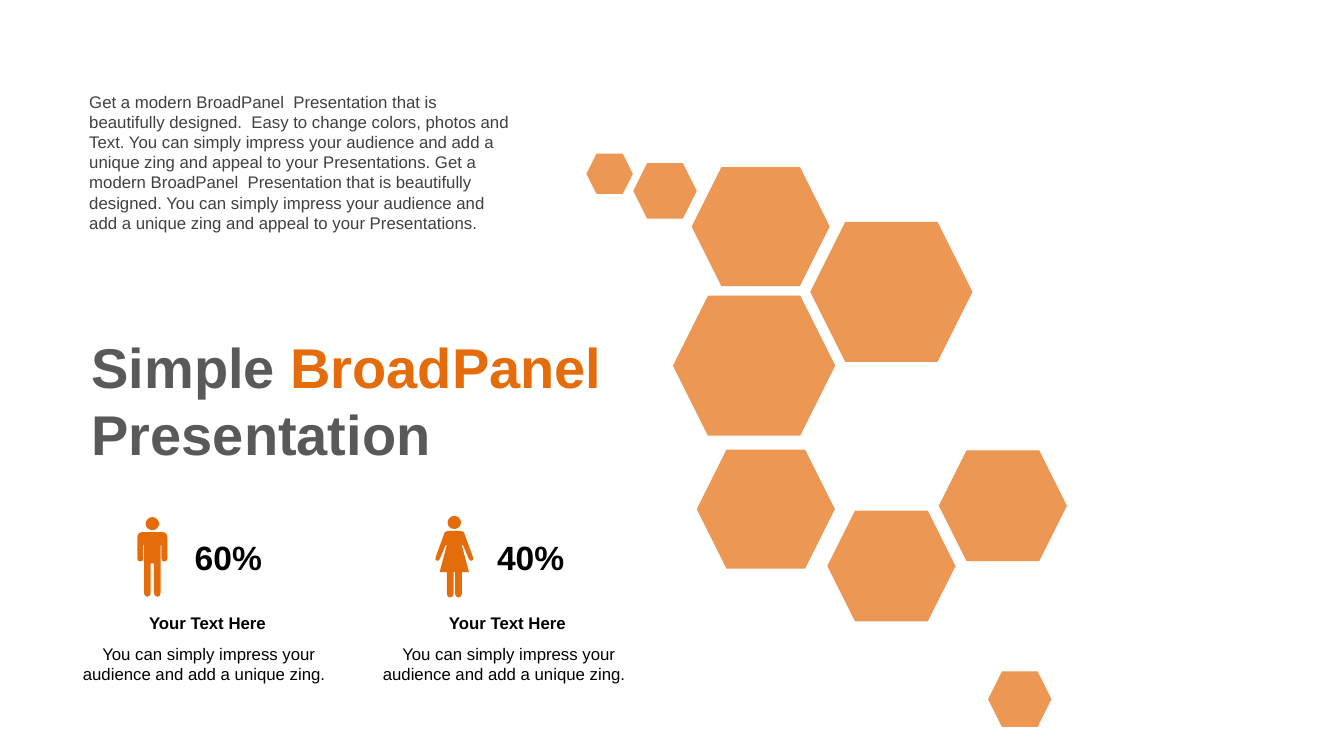
from lxml import etree
from pptx import Presentation
from pptx.dml.color import RGBColor
from pptx.enum.shapes import MSO_SHAPE
from pptx.enum.text import MSO_ANCHOR, PP_ALIGN
from pptx.oxml.ns import qn
from pptx.util import Cm, Pt

HEXAGON = MSO_SHAPE.HEXAGON
TOP, MIDDLE = MSO_ANCHOR.TOP, MSO_ANCHOR.MIDDLE
LEFT, CENTER = PP_ALIGN.LEFT, PP_ALIGN.CENTER

ORANGE, GREY, DARK, BLACK = "E46C0A", "595959", "404040", "000000"

HEXAGONS = [
    (17.56, 11.33, 3.48, 3.0),
    (20.42, 5.59, 4.09, 3.53),
    (16.96, 7.45, 4.09, 3.53),
    (23.66, 11.35, 3.23, 2.79),
    (20.85, 12.87, 3.23, 2.79),
    (24.9, 16.92, 1.6, 1.4),
    (17.43, 4.21, 3.48, 3.0),
    (15.96, 4.11, 1.6, 1.4),
    (14.78, 3.87, 1.17, 1.02),
]

MAN = [
    (0, 0.38), (0.25, 0.38), (0.33, 0.38, 0.38, 0.43, 0.38, 0.53),
    (0.38, 1.04), (0.38, 1.09, 0.35, 1.12, 0.3, 1.12),
    (0.25, 1.12, 0.23, 1.09, 0.23, 1.04), (0.23, 0.71), (0.21, 0.71),
    (0.21, 1.9), (0.21, 1.96, 0.18, 2.01, 0.13, 2.01),
    (0.07, 2.01, 0.04, 1.96, 0.04, 1.9), (0.04, 1.17),
]
WOMAN = [
    (0, 0.38), (0.16, 0.38), (0.22, 0.38, 0.22, 0.38, 0.24, 0.41),
    (0.47, 1.04), (0.49, 1.09, 0.48, 1.12, 0.44, 1.13),
    (0.41, 1.14, 0.38, 1.12, 0.37, 1.09), (0.22, 0.74), (0.19, 0.74),
    (0.37, 1.42), (0.19, 1.42), (0.19, 1.96),
    (0.18, 2.01, 0.16, 2.06, 0.11, 2.06),
    (0.06, 2.06, 0.02, 2.01, 0.02, 1.96), (0.02, 1.42),
]
HEAD = [
    (0, 0), (0.09, 0, 0.17, 0.08, 0.17, 0.17), (0.17, 0.26, 0.09, 0.33, 0, 0.33),
]

INTRO = (
    "Get a modern BroadPanel  Presentation that is beautifully designed.  "
    "Easy to change colors, photos and Text. You can simply impress your "
    "audience and add a unique zing and appeal to your Presentations. "
    "Get a modern BroadPanel  Presentation that is beautifully designed. "
    "You can simply impress your audience and add a unique zing and appeal "
    "to your Presentations."
)


def rgb(value):
    return RGBColor.from_string(value)


def mirror(half):
    """Close a right half outline with its reflection, keeping the curves."""
    x, y = half[-1][-2:]
    outline = half + [(-x, y)]
    for before, seg in zip(half[-2::-1], half[:0:-1]):
        x, y = before[-2:]
        if len(seg) == 6:
            x1, y1, x2, y2 = seg[:4]
            outline.append((-x2, y2, -x1, y1, -x, y))
        else:
            outline.append((-x, y))
    return outline


class Deck:
    """Hold the style and the current slide, and draw each kind of element."""

    font = "Arial"

    def __init__(self):
        self.prs = Presentation()
        self.prs.slide_width, self.prs.slide_height = Cm(33.87), Cm(19.05)
        self.s = self.prs.slides.add_slide(self.prs.slide_layouts[6])

    def paint(self, sp, color, alpha=100):
        sp.shadow.inherit = False
        sp.fill.solid()
        sp.fill.fore_color.rgb = rgb(color)
        sp.line.fill.background()
        if alpha < 100:
            clr = sp.fill._xPr.find(qn("a:solidFill"))[0]
            etree.SubElement(clr, qn("a:alpha")).set("val", str(alpha * 1000))

    def hexagon(self, *box):
        sp = self.s.shapes.add_shape(HEXAGON, *map(Cm, box))
        self.paint(sp, ORANGE, 70)

    def figure(self, half, center, top):
        def place(x, y):
            return Cm(center + x), Cm(top + y)

        body, head = mirror(half), mirror(HEAD)
        builder = self.s.shapes.build_freeform(*place(*body[0]))
        builder.add_line_segments([place(*seg[-2:]) for seg in body[1:]])
        builder.move_to(*place(*head[0]))
        builder.add_line_segments([place(*seg[-2:]) for seg in head[1:]])
        sp = builder.convert_to_shape()
        lines = list(sp._element.iter(qn("a:lnTo")))
        for line, seg in zip(lines, body[1:] + head[1:]):
            if len(seg) == 6:
                line.tag = qn("a:cubicBezTo")
                for i in (0, 2):
                    x, y = place(*seg[i:i + 2])
                    pt = etree.Element(qn("a:pt"), x=str(x - sp.left), y=str(y - sp.top))
                    line.insert(i // 2, pt)
        self.paint(sp, ORANGE)

    def text(self, box, runs, size, bold=False, align=LEFT, anchor=TOP):
        tf = self.s.shapes.add_textbox(*map(Cm, box)).text_frame
        tf.word_wrap = True
        tf.vertical_anchor = anchor
        p = tf.paragraphs[0]
        p.alignment = align
        for text, color in runs:
            r = p.add_run()
            r.text = text
            r.font.name, r.font.size, r.font.bold = self.font, Pt(size), bold
            r.font.color.rgb = rgb(color)

    def statistic(self, half, center, top, left, percent_left, percent):
        self.figure(half, center, top)
        self.text((percent_left, 13.41, 2.59, 1.27), [(percent, BLACK)],
                  24, True, CENTER, MIDDLE)
        self.text((left, 15.32, 6.86, 0.76), [("Your Text Here", BLACK)], 12, True, CENTER)
        self.text((left, 16.1, 6.93, 1.27),
                  [("You can simply impress your audience and add a unique zing.  ", BLACK)],
                  12, align=CENTER)


def main():
    deck = Deck()
    for box in HEXAGONS:
        deck.hexagon(*box)
    deck.text((2.06, 8.26, 13.46, 3.68),
              [("Simple ", GREY), ("BroadPanel ", ORANGE), ("Presentation", GREY)], 40, True)
    deck.text((2.0, 2.18, 11.2, 3.84), [(INTRO, DARK)], 12)
    deck.statistic(MAN, 3.84, 13.03, 1.8, 4.46, "60%")
    deck.statistic(WOMAN, 11.45, 13.0, 9.36, 12.08, "40%")
    deck.prs.save("out.pptx")


if __name__ == "__main__":
    main()
